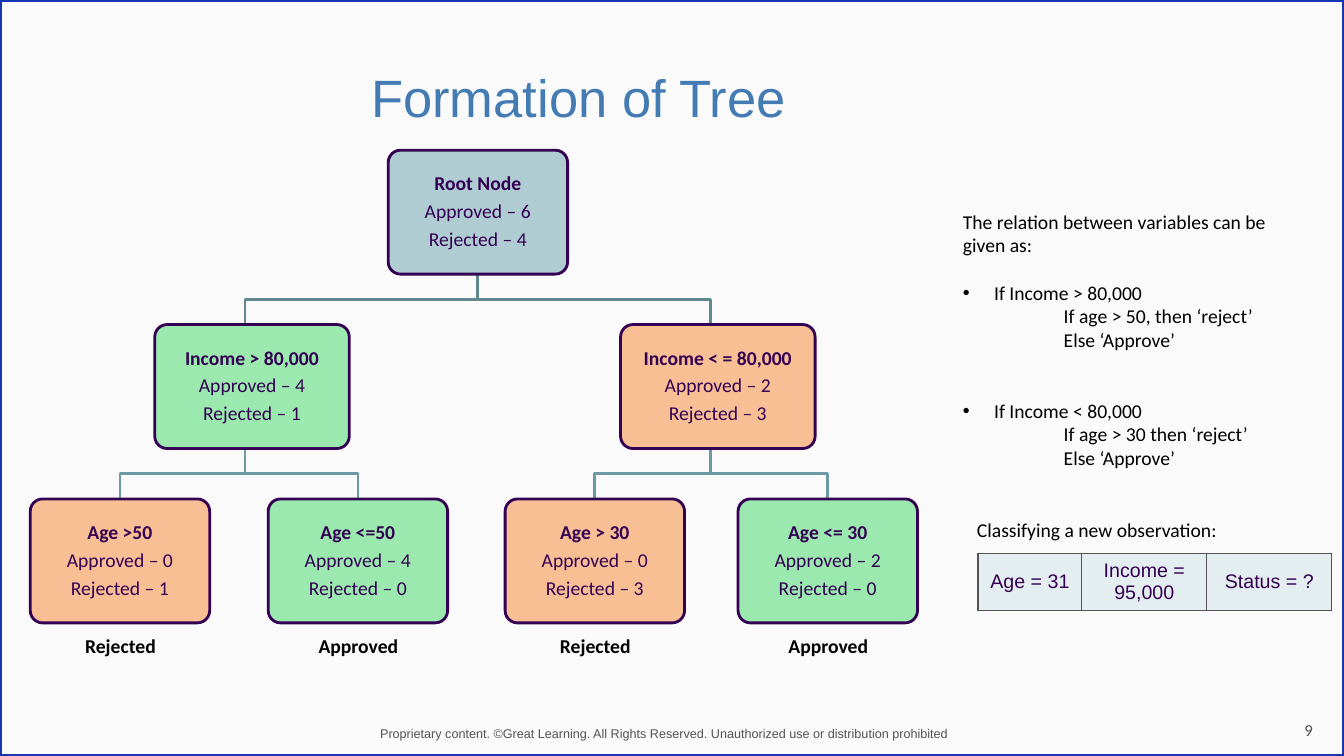
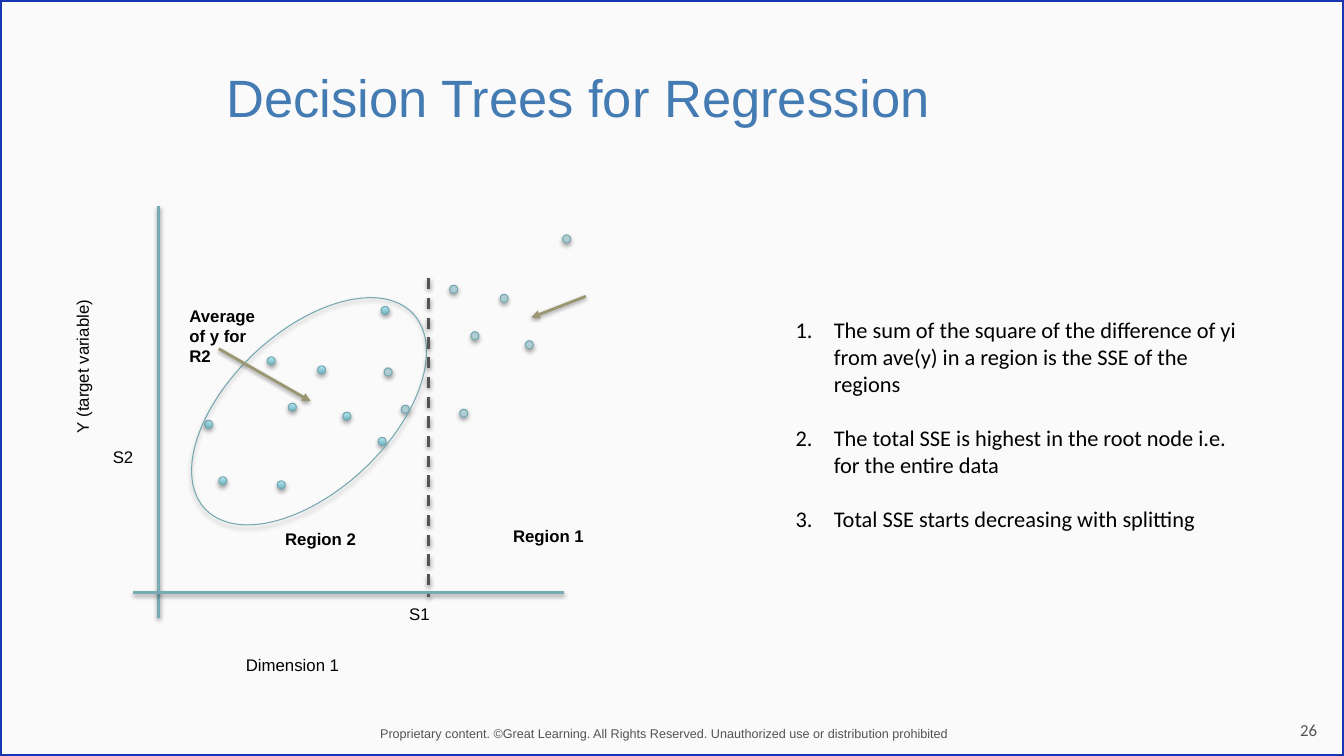
import pptx
import pptx.util
import pptx.dml.color
import pptx.enum.dml
import pptx.enum.shapes
import pptx.enum.text
import pptx.oxml.ns
import lxml.etree

Inches = pptx.util.Inches
Pt = pptx.util.Pt
qn = pptx.oxml.ns.qn
ALIGN = pptx.enum.text.PP_ALIGN
ANCHOR = pptx.enum.text.MSO_ANCHOR
SHAPE = pptx.enum.shapes.MSO_SHAPE

COLORS = {
    "background": "FAFAFA", "frame": "1836B2", "title": "437BB2", "grey": "535353",
    "black": "000000", "ink": "340053", "root": "AECCD1", "approved": "9BE9AF",
    "rejected": "F8BF95", "trunk": "60888F", "branch": "6D9AA2", "cell": "E4EEF0",
    "axis": "78AAB3", "outline": "74A7B0", "dot": "AECCD1", "dot_dark": "6FB0BC",
    "dot_light": "B3E9F5", "arrow": "9A9671",
}
FOOTER = ("Proprietary content. ©Great Learning. All Rights Reserved. "
          "Unauthorized use or distribution prohibited")

NODE_TOP, NODE_HEIGHT, LEVEL_STEP = 1.49, 1.23, 1.73
NODES = {
    "root": (0, 4.74, 1.78, "root", ["Root Node", "Approved – 6", "Rejected – 4"]),
    "high": (1, 2.5, 1.93, "approved", ["Income > 80,000", "Approved – 4", "Rejected – 1"]),
    "low": (1, 7.12, 1.93, "rejected", ["Income < = 80,000", "Approved – 2", "Rejected – 3"]),
    "over 50": (2, 1.19, 1.78, "rejected", ["Age >50", "Approved – 0", "Rejected – 1"]),
    "up to 50": (2, 3.55, 1.78, "approved", ["Age <=50", "Approved – 4", "Rejected – 0"]),
    "over 30": (2, 5.9, 1.78, "rejected", ["Age > 30", "Approved – 0", "Rejected – 3"]),
    "up to 30": (2, 8.21, 1.78, "approved", ["Age <= 30", "Approved – 2", "Rejected – 0"]),
}
JOINTS = {"high": 2.43, "low": 7.05}
BRANCHES = [("root", "high"), ("root", "low"), ("high", "over 50"),
            ("high", "up to 50"), ("low", "over 30"), ("low", "up to 30")]

RULES = [
    ("The relation between variables can be given as:", "plain", 0),
    ("If Income > 80,000", "bullet", 17),
    ("If age > 50, then ‘reject’", "nested", 0),
    ("Else ‘Approve’", "nested", 0),
    ("If Income < 80,000", "bullet", 34),
    ("If age > 30 then ‘reject’", "nested", 0),
    ("Else ‘Approve’", "nested", 0),
]
OBSERVATION = [("Age = 31", 1.03), ("Income = 95,000", 1.24), ("Status = ?", 1.24)]

SSE_POINTS = [
    ("The sum of the square of the difference of yi from ave(y) in a region "
     "is the SSE of the regions", "number", 0),
    ("The total SSE is highest in the root node i.e. for the entire data", "number", 19.5),
    ("Total SSE starts decreasing with splitting", "number", 19.5),
]
LIST_STYLES = {
    "plain": (0, 0, "buNone", {}),
    "nested": (1, 0, "buNone", {}),
    "bullet": (0.31, -0.31, "buChar", {"char": "•"}),
    "number": (0.38, -0.38, "buAutoNum", {"type": "arabicPeriod"}),
}

DOT_SIZE = 0.08
GRADIENT_DOTS = [(2.65, 3.54), (3.15, 3.63), (2.86, 4), (3.4, 4.09), (2.03, 4.17),
                 (3.78, 3.04), (2.17, 4.73), (2.75, 4.77), (3.75, 4.34)]
PLAIN_DOTS = [(4.46, 2.83), (4.96, 2.92), (4.67, 3.29), (5.21, 3.38), (5.58, 2.33),
              (3.98, 4.02), (4.56, 4.06), (3.81, 3.65)]
PLOT_LABELS = [
    ("S1", (3.96, 5.94, 0.52, 0.3), False, 0),
    ("S2", (1.02, 4.38, 0.52, 0.3), False, 0),
    ("Dimension 1", (2.34, 6.45, 1.25, 0.3), False, 0),
    ("Y (target variable)", (-0.09, 3.34, 1.81, 0.3), False, 270),
    ("Region 1", (4.99, 5.17, 1, 0.3), True, 0),
    ("Region 2", (2.73, 5.2, 1, 0.3), True, 0),
    ("Average of y for R2", (1.78, 2.98, 0.95, 0.71), True, 0),
]
PLOT_LINES = [
    ((1.57, 2.04), (1.57, 6.13), "axis", None),
    ((5.59, 5.88), (1.32, 5.88), "axis", None),
    ((4.25, 2.76), (4.25, 5.92), "grey", "dash"),
    ((5.81, 2.94), (5.27, 3.15), "arrow", "head"),
    ((2.17, 3.46), (3.08, 3.98), "arrow", "head"),
]


def rgb(name):
    return pptx.dml.color.RGBColor.from_string(COLORS[name])


def place(item, bounds):
    item.left, item.top, item.width, item.height = map(Inches, bounds)


def style_span(span, size, color, font, bold=False):
    span.font.size = Pt(size)
    span.font.name = font
    span.font.bold = bold
    span.font.color.rgb = rgb(color)


def set_margins(frame, inches):
    frame.margin_left = frame.margin_right = Inches(inches)
    frame.margin_top = frame.margin_bottom = Inches(inches)


def add_text(page, text, bounds, size, color, font, bold=False, align=ALIGN.LEFT):
    box = page.shapes.add_textbox(*map(Inches, bounds))
    frame = box.text_frame
    frame.word_wrap = True
    frame.text = text
    frame.paragraphs[0].alignment = align
    style_span(frame.paragraphs[0].runs[0], size, color, font, bold)
    return box


def style_outline(shape, color, width):
    shape.line.color.rgb = rgb(color)
    shape.line.width = Pt(width)


def add_outlined(page, kind, bounds, color, width, fill=None):
    shape = page.shapes.add_shape(kind, *map(Inches, bounds))
    shape.shadow.inherit = False
    if fill:
        shape.fill.solid()
        shape.fill.fore_color.rgb = rgb(fill)
    else:
        shape.fill.background()
    style_outline(shape, color, width)
    return shape


def cast_shadow(shape, opacity, distance):
    properties = shape._element.spPr
    effects = properties.find(qn("a:effectLst"))
    if effects is None:
        effects = lxml.etree.SubElement(properties, qn("a:effectLst"))
    shadow = lxml.etree.SubElement(
        effects, qn("a:outerShdw"), blurRad=str(Pt(3.1)), dist=str(Pt(distance)),
        dir="5400000", rotWithShape="0")
    tint = lxml.etree.SubElement(shadow, qn("a:srgbClr"), val=COLORS["black"])
    lxml.etree.SubElement(tint, qn("a:alpha"), val=str(opacity * 1000))


def fill_list(body, entries, bounds, size):
    place(body, bounds)
    frame = body.text_frame
    frame.auto_size = pptx.enum.text.MSO_AUTO_SIZE.NONE
    frame.text = "\n".join(text for text, _, _ in entries)
    for para, (_, style, gap) in zip(frame.paragraphs, entries):
        left, hanging, tag, attributes = LIST_STYLES[style]
        properties = para._p.get_or_add_pPr()
        properties.set("marL", str(Inches(left)))
        properties.set("indent", str(Inches(hanging)))
        tint = lxml.etree.SubElement(properties, qn("a:buClr"))
        lxml.etree.SubElement(tint, qn("a:srgbClr"), val=COLORS["black"])
        lxml.etree.SubElement(properties, qn("a:" + tag), **attributes)
        para.space_before = Pt(gap)
        style_span(para.runs[0], size, "black", "Calibri")


def start_deck():
    deck = pptx.Presentation()
    deck.slide_width, deck.slide_height = Inches(13.33), Inches(7.5)
    fill = deck.slide_master.background.fill
    fill.solid()
    fill.fore_color.rgb = rgb("background")
    title = deck.slide_layouts[1].placeholders[0]
    place(title, (0.48, 0.74, 10.52, 0.56))
    return deck


def add_page(deck, heading, number):
    page = deck.slides.add_slide(deck.slide_layouts[1])
    add_outlined(page, SHAPE.RECTANGLE, (0, 0, 13.33, 7.5), "frame", 2.25)
    footer = add_text(page, FOOTER, (3.72, 7.15, 5.89, 0.25), 9, "grey", "Arial")
    set_margins(footer.text_frame, 0.05)
    counter = add_text(page, str(number), (12.78, 6.65, 0.4, 0.72), 12, "grey",
                       "Calibri", align=ALIGN.CENTER)
    set_margins(counter.text_frame, 0.03)
    counter.text_frame.vertical_anchor = ANCHOR.BOTTOM
    frame = page.shapes.title.text_frame
    frame.text = heading
    frame.auto_size = pptx.enum.text.MSO_AUTO_SIZE.NONE
    frame.vertical_anchor = ANCHOR.MIDDLE
    set_margins(frame, 0.03)
    para = frame.paragraphs[0]
    para.alignment = ALIGN.CENTER
    para.line_spacing = 0.8
    style_span(para.runs[0], 37.5, "title", "Arial")
    return page


def add_branch(page, parent, child):
    level = NODES[parent][0]
    start, end = (JOINTS.get(name, NODES[name][1]) for name in (parent, child))
    top = NODE_TOP + level * LEVEL_STEP + NODE_HEIGHT
    bottom = NODE_TOP + (level + 1) * LEVEL_STEP
    middle = (top + bottom) / 2
    builder = page.shapes.build_freeform(Inches(start), Inches(top))
    corners = [(start, middle), (end, middle), (end, bottom)]
    builder.add_line_segments([(Inches(x), Inches(y)) for x, y in corners], close=False)
    branch = builder.convert_to_shape()
    branch.shadow.inherit = False
    branch.fill.background()
    style_outline(branch, "trunk" if level == 0 else "branch", 2)


def add_node(page, level, centre, width, fill, lines):
    top = NODE_TOP + level * LEVEL_STEP
    node = add_outlined(page, SHAPE.ROUNDED_RECTANGLE,
                        (centre - width / 2, top, width, NODE_HEIGHT), "ink", 2, fill)
    node.adjustments[0] = 0.1
    frame = node.text_frame
    set_margins(frame, 0.1)
    frame.vertical_anchor = ANCHOR.MIDDLE
    frame.text = "\n".join(lines)
    for index, para in enumerate(frame.paragraphs):
        para.alignment = ALIGN.CENTER
        para.line_spacing = 0.9
        para.space_before = Pt(4.7 if index else 0)
        style_span(para.runs[0], 14, "ink", "Calibri", bold=index == 0)
    if level == 2:
        add_text(page, fill.capitalize(), (centre - 0.62, 6.24, 1.25, 0.34), 14,
                 "black", "Calibri", True, ALIGN.CENTER)


def border_cell(cell):
    properties = cell._tc.get_or_add_tcPr()
    for index, side in enumerate(("lnL", "lnR", "lnT", "lnB")):
        edge = lxml.etree.Element(qn("a:" + side), w=str(Pt(1)))
        fill = lxml.etree.SubElement(edge, qn("a:solidFill"))
        lxml.etree.SubElement(fill, qn("a:srgbClr"), val=COLORS["grey"])
        properties.insert(index, edge)


def add_observation(page):
    widths = [width for _, width in OBSERVATION]
    bounds = map(Inches, (9.7, 5.49, sum(widths), 0.57))
    table = page.shapes.add_table(1, len(OBSERVATION), *bounds).table
    table.first_row = table.horz_banding = False
    for column, (text, width) in enumerate(OBSERVATION):
        table.columns[column].width = Inches(width)
        cell = table.cell(0, column)
        cell.text = text
        cell.vertical_anchor = ANCHOR.MIDDLE
        cell.fill.solid()
        cell.fill.fore_color.rgb = rgb("cell")
        border_cell(cell)
        para = cell.text_frame.paragraphs[0]
        para.alignment = ALIGN.CENTER
        style_span(para.runs[0], 14, "ink", "Arial")


def add_dot(page, left, top, gradient):
    dot = add_outlined(page, SHAPE.OVAL, (left, top, DOT_SIZE, DOT_SIZE),
                       "outline", 0.75, "dot")
    if gradient:
        dot.fill.gradient()
        dot.fill.gradient_angle = 90
        for stop, color in zip(dot.fill.gradient_stops, ("dot_dark", "dot_light")):
            stop.color.rgb = rgb(color)
    cast_shadow(dot, 35, 1.8)


def add_plot_line(page, start, end, color, style):
    line = page.shapes.add_connector(pptx.enum.shapes.MSO_CONNECTOR.STRAIGHT,
                                     *map(Inches, start + end))
    style_outline(line, color, 2)
    if style == "dash":
        line.line.dash_style = pptx.enum.dml.MSO_LINE.DASH
    if style == "head":
        lxml.etree.SubElement(line.line._get_or_add_ln(), qn("a:tailEnd"), type="triangle")
    cast_shadow(line, 38, 1.6)


def build_tree(deck):
    page = add_page(deck, "Formation of Tree", 9)
    for parent, child in BRANCHES:
        add_branch(page, parent, child)
    for node in NODES.values():
        add_node(page, *node)
    fill_list(page.placeholders[1], RULES, (9.45, 2.03, 3.43, 2.93), 14)
    add_observation(page)
    add_text(page, "Classifying a new observation:", (9.59, 5.09, 3.15, 0.34), 14,
             "black", "Calibri")


def build_regression(deck):
    page = add_page(deck, "Decision Trees for Regression", 26)
    fill_list(page.placeholders[1], SSE_POINTS, (7.79, 3.09, 4.78, 2.26), 16)
    for dots, gradient in ((GRADIENT_DOTS, True), (PLAIN_DOTS, False)):
        for left, top in dots:
            add_dot(page, left, top, gradient)
    region = add_outlined(page, SHAPE.OVAL, (1.65, 3.29, 2.83, 1.58), "outline", 0.75)
    region.rotation = 316.8
    cast_shadow(region, 35, 1.8)
    for text, bounds, bold, rotation in PLOT_LABELS:
        label = add_text(page, text, bounds, 12, "black", "Arial", bold)
        label.rotation = rotation
    for line in PLOT_LINES:
        add_plot_line(page, *line)


def main():
    deck = start_deck()
    build_tree(deck)
    build_regression(deck)
    deck.save("out.pptx")


if __name__ == "__main__":
    main()
